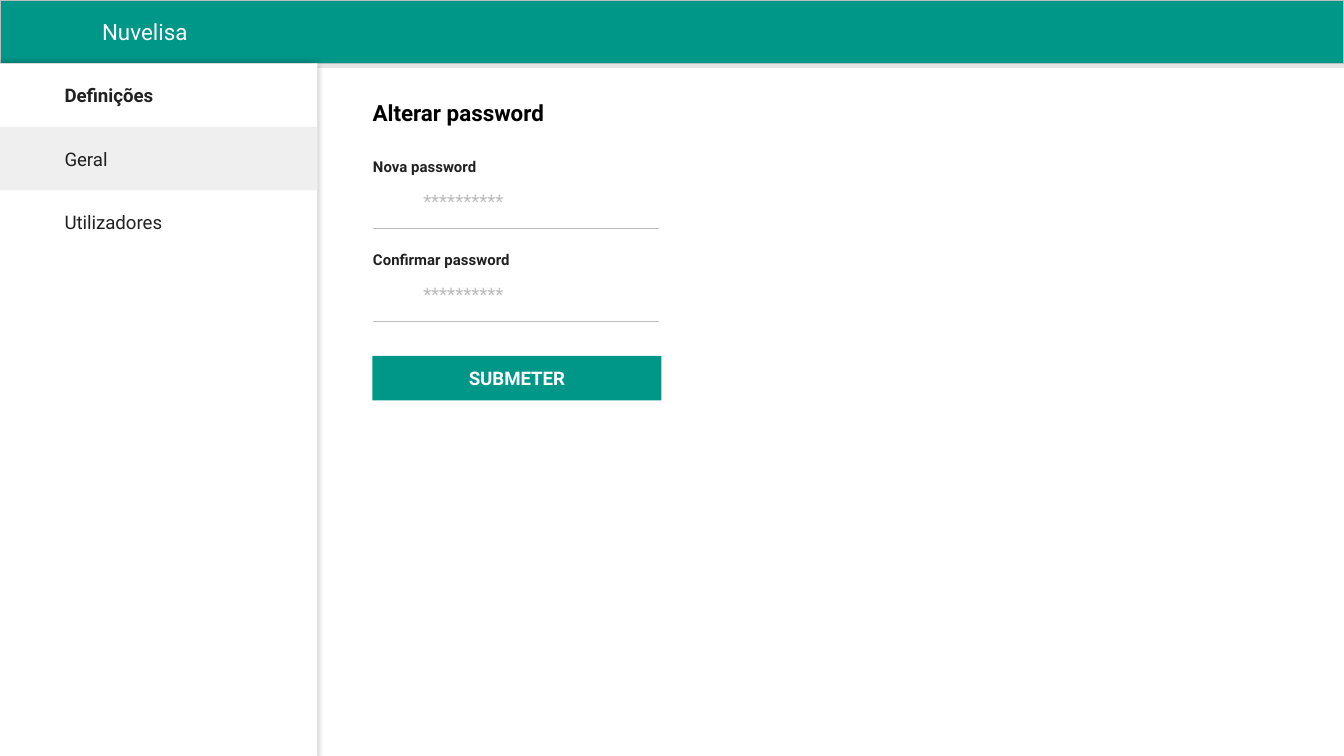
"""Build the password settings screen of a web console as one slide."""
from typing import NamedTuple, Optional

from lxml.etree import SubElement
from pptx import Presentation
from pptx.dml.color import RGBColor
from pptx.enum.shapes import MSO_CONNECTOR as Connector, MSO_SHAPE as Preset
from pptx.enum.text import MSO_ANCHOR as Anchor, MSO_AUTO_SIZE as AutoSize, PP_ALIGN as Align
from pptx.oxml.ns import qn
from pptx.util import Cm, Pt

COLORS = {
    "teal": "009688",
    "white": "FFFFFF",
    "black": "000000",
    "ink": "212121",
    "gray": "BDBDBD",
    "selected": "EFEFEF",
}
FONT = "Roboto"
PAGE_WIDTH, PAGE_HEIGHT = 25.4, 14.29
ROW = 1.2
SIDEBAR_WIDTH = 6
FORM_LEFT, FORM_WIDTH = 7.04, 5.46
FIELD_TOP, FIELD_PITCH = 2.98, 1.76


class Box(NamedTuple):
    left: float
    top: float
    width: float
    height: float


class Insets(NamedTuple):
    left: float = 0.25
    top: float = 0.25
    right: float = 0.25
    bottom: float = 0.25


class Style(NamedTuple):
    size: float
    color: str
    bold: bool = False
    align: Align = Align.LEFT
    anchor: Anchor = Anchor.TOP
    insets: Insets = Insets()


class Shadow(NamedTuple):
    opacity: int
    blur: float
    distance: float
    angle: int


class MenuItem(NamedTuple):
    label: str
    bold: bool = False
    fill: Optional[str] = None


class Field(NamedTuple):
    label: str
    width: float


FLUSH = Insets(0, 0, 0, 0)
MENU = (
    MenuItem("Definições", bold=True),
    MenuItem("Geral", fill="selected"),
    MenuItem("Utilizadores"),
)
FIELDS = (Field("Nova password", 2.1), Field("Confirmar password", 2.92))


def rgb(name: str) -> RGBColor:
    """Return the named colour."""
    return RGBColor.from_string(COLORS[name])


def place(shape, box: Box) -> None:
    """Move and size a shape in centimetres."""
    shape.left, shape.top, shape.width, shape.height = map(Cm, box)


def write(shape, text: str, style: Style) -> None:
    """Put one formatted paragraph into a shape."""
    frame = shape.text_frame
    frame.text = text
    frame.word_wrap = True
    frame.auto_size = AutoSize.NONE
    frame.vertical_anchor = style.anchor
    (frame.margin_left, frame.margin_top,
     frame.margin_right, frame.margin_bottom) = map(Cm, style.insets)
    para = frame.paragraphs[0]
    para.alignment = style.align
    para.font.name = FONT
    para.font.size = Pt(style.size)
    para.font.bold = style.bold
    para.font.color.rgb = rgb(style.color)


def add_text(page, box: Box, text: str, style: Style) -> None:
    """Add a text box."""
    write(page.shapes.add_textbox(*map(Cm, box)), text, style)


def add_panel(page, box: Box, fill: str, line: Optional[str] = None):
    """Add a filled rectangle without a shadow."""
    panel = page.shapes.add_shape(Preset.RECTANGLE, *map(Cm, box))
    panel.shadow.inherit = False
    panel.fill.solid()
    panel.fill.fore_color.rgb = rgb(fill)
    if line:
        panel.line.color.rgb = rgb(line)
        panel.line.width = Pt(0.75)
    else:
        panel.line.fill.background()
    return panel


def cast_shadow(panel, shadow: Shadow) -> None:
    """Give a panel a soft black outer shadow."""
    effects = panel.element.spPr.find(qn("a:effectLst"))
    outer = SubElement(
        effects, qn("a:outerShdw"), blurRad=str(Pt(shadow.blur)),
        dist=str(Pt(shadow.distance)), dir=str(shadow.angle * 60000),
        algn="bl", rotWithShape="0")
    color = SubElement(outer, qn("a:srgbClr"), val=COLORS["black"])
    SubElement(color, qn("a:alpha"), val=str(shadow.opacity * 1000))


def add_menu_item(page, item: MenuItem, top: float) -> None:
    """Add one row of the sidebar."""
    box = Box(0, top, SIDEBAR_WIDTH, ROW)
    style = Style(10, "ink", item.bold, anchor=Anchor.MIDDLE, insets=Insets(left=1.22))
    if item.fill:
        write(add_panel(page, box, item.fill), item.label, style)
    else:
        add_text(page, box, item.label, style)


def add_field(page, field: Field, top: float) -> None:
    """Add a labelled password entry with its underline."""
    add_text(page, Box(FORM_LEFT, top + 0.35, FORM_WIDTH, 0.99), "*" * 10,
             Style(10, "gray", insets=Insets(left=0.96)))
    ends = (FORM_LEFT + 0.01, top + 1.34, FORM_LEFT + 5.41, top + 1.34)
    underline = page.shapes.add_connector(Connector.STRAIGHT, *map(Cm, ends))
    underline.line.color.rgb = rgb("gray")
    underline.line.width = Pt(0.75)
    SubElement(underline.element.spPr, qn("a:effectLst"))
    add_text(page, Box(FORM_LEFT + 0.01, top, field.width, 0.33), field.label,
             Style(8, "ink", bold=True, insets=FLUSH))


def main() -> None:
    """Draw the page and save the deck."""
    deck = Presentation()
    deck.slide_width, deck.slide_height = Cm(PAGE_WIDTH), Cm(PAGE_HEIGHT)
    page = deck.slides.add_slide(deck.slide_layouts[5])

    title = page.shapes.title
    place(title, Box(FORM_LEFT, 1.88, 3.68, 0.51))
    write(title, "Alterar password", Style(12, "black", bold=True, insets=FLUSH))

    header = add_panel(page, Box(0, 0, PAGE_WIDTH, ROW), "teal", "gray")
    cast_shadow(header, Shadow(10, 1.1, 0.8, 90))
    add_text(page, Box(1.68, 0.09, 4.19, 1.02), "Nuvelisa", Style(12, "white"))

    sidebar = add_panel(page, Box(0, ROW, SIDEBAR_WIDTH, PAGE_HEIGHT - ROW), "white")
    cast_shadow(sidebar, Shadow(50, 4.5, 1.5, 133))
    for row, item in enumerate(MENU, start=1):
        add_menu_item(page, item, row * ROW)

    for index, field in enumerate(FIELDS):
        add_field(page, field, FIELD_TOP + index * FIELD_PITCH)

    button = add_panel(page, Box(FORM_LEFT, 6.73, FORM_WIDTH, 0.84), "teal")
    write(button, "SUBMETER", Style(10, "white", True, Align.CENTER, Anchor.MIDDLE))

    deck.save("out.pptx")


if __name__ == "__main__":
    main()
